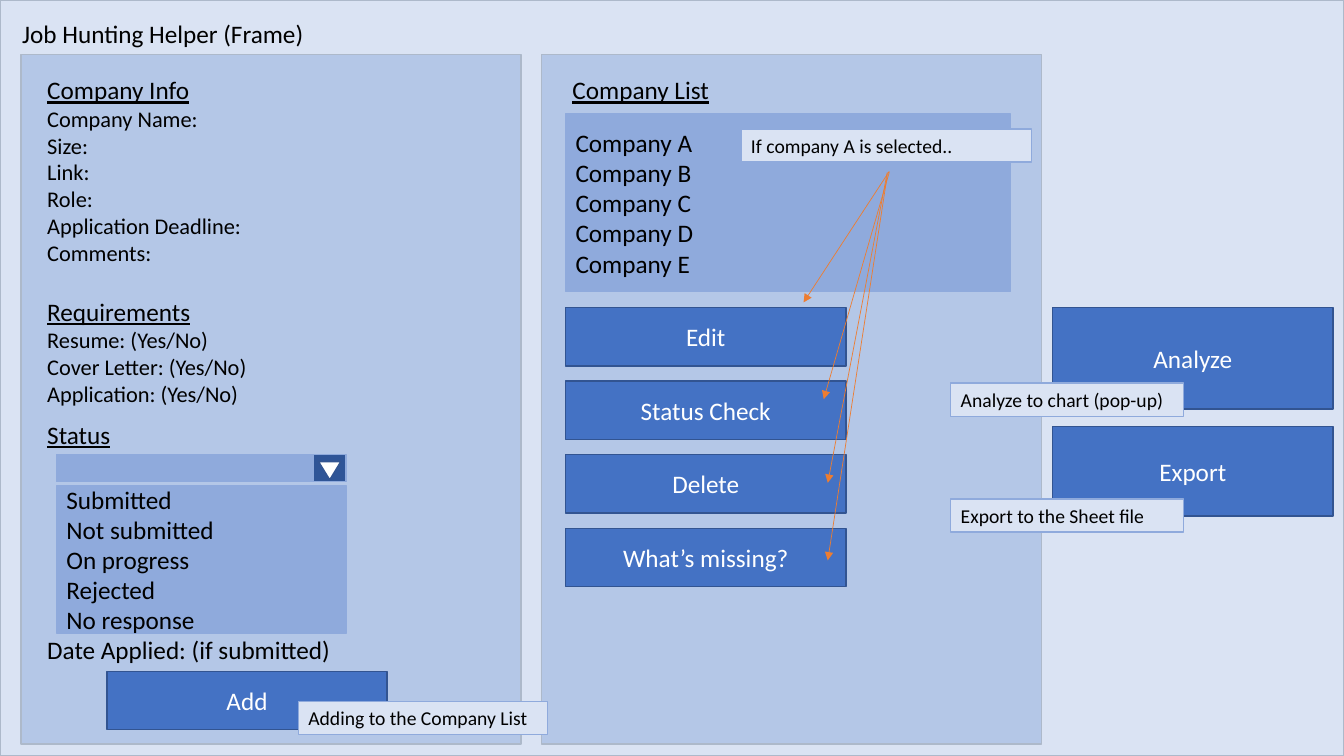
"""Build the Job Hunting Helper wireframe slide."""
from lxml import etree
from pptx import Presentation
from pptx.dml.color import RGBColor
from pptx.enum.shapes import MSO_CONNECTOR as Link, MSO_SHAPE as Shape
from pptx.enum.text import MSO_ANCHOR as Anchor, MSO_AUTO_SIZE as Fit, PP_ALIGN as Align
from pptx.oxml.ns import qn
from pptx.util import Inches, Pt

PALE, PANEL, FIELD, BUTTON, DARK = "DAE3F3", "B4C7E7", "8FAADC", "4472C4", "2F5597"
PANEL_EDGE, BUTTON_EDGE, ARROW = "ADB9CA", "325491", "ED7D31"
BLACK, WHITE = "000000", "FFFFFF"

TITLE = "Job Hunting Helper (Frame)"
INFO = ["Company Name:", "Size:", "Link:", "Role:", "Application Deadline:", "Comments:"]
REQUIREMENTS = ["Resume: (Yes/No)", "Cover Letter: (Yes/No)", "Application: (Yes/No)"]
STATUSES = ["Submitted", "Not submitted", "On progress", "Rejected", "No response"]
COMPANIES = ["Company A", "Company B", "Company C", "Company D", "Company E"]
ACTIONS = ["Edit", "Status Check", "Delete", "What’s missing?"]
SIDE_BUTTONS = [("Analyze", 3.05, 1.01), ("Export", 4.23, 0.89)]
CALLOUTS = [
    ("If company A is selected..", 7.35, 1.28, 2.88),
    ("Adding to the Company List", 2.96, 6.96, 2.47),
    ("Analyze to chart (pop-up)", 9.43, 3.8, 2.31),
    ("Export to the Sheet file", 9.43, 4.95, 2.31),
]
ARROWS = [
    ((8.82, 1.7), (7.97, 3)),
    ((8.82, 1.71), (8.17, 3.96)),
    ((8.8, 1.71), (8.21, 4.79)),
    ((8.8, 1.74), (8.21, 5.56)),
]
BUTTON_WIDTH, BUTTON_HEIGHT, ACTION_STEP = 2.78, 0.58, 0.73
PANEL_LEFTS = (0.21, 5.37)
FORM_LEFT, FORM_WIDTH = 0.37, 4.49
LIST_LEFT = 5.61
MENU_LEFT, MENU_WIDTH, MENU_TOP, BAR_HEIGHT = 0.56, 2.88, 4.51, 0.27
MENU_GAP = 132


def color(value):
    return RGBColor.from_string(value)


def write(box, lines, size=18, ink=BLACK, align=Align.LEFT, anchor=Anchor.MIDDLE,
          heading=False, wrap=True, last_gap=0):
    """Fill a shape with one paragraph per line, the first underlined if a heading."""
    frame = box.text_frame
    frame.word_wrap = wrap
    frame.auto_size = Fit.NONE
    frame.vertical_anchor = anchor
    for index, line in enumerate(lines):
        para = frame.paragraphs[0] if index == 0 else frame.add_paragraph()
        para.alignment = align
        para.line_spacing = 1.0
        is_last = index == len(lines) - 1
        para.space_before = Pt(last_gap if is_last else 0)
        span = para.add_run()
        span.text = line
        is_heading = heading and index == 0
        span.font.size = Pt(18 if is_heading else size)
        span.font.name = "Calibri"
        span.font.color.rgb = color(ink)
        span.font.underline = is_heading


def add_box(page, left, top, width, height, fill, edge, kind=Shape.RECTANGLE):
    box = page.shapes.add_shape(kind, *map(Inches, (left, top, width, height)))
    box.shadow.inherit = False
    box.fill.solid()
    box.fill.fore_color.rgb = color(fill)
    box.line.color.rgb = color(edge)
    box.line.width = Pt(1)
    return box


def add_button(page, label, left, top, height=BUTTON_HEIGHT):
    box = add_box(page, left, top, BUTTON_WIDTH, height, BUTTON, BUTTON_EDGE)
    write(box, [label], ink=WHITE, align=Align.CENTER)


def add_section(page, lines, left, top, width, height, **style):
    box = page.shapes.add_textbox(*map(Inches, (left, top, width, height)))
    write(box, lines, anchor=Anchor.TOP, heading=True, **style)


def add_arrow(page, start, end):
    arrow = page.shapes.add_connector(Link.STRAIGHT, *map(Inches, start + end))
    arrow.line.color.rgb = color(ARROW)
    arrow.line.width = Pt(0.5)
    etree.SubElement(arrow.line._get_or_add_ln(), qn("a:tailEnd"), type="triangle")
    etree.SubElement(arrow.element.spPr, qn("a:effectLst"))


def add_frame(page):
    frame = add_box(page, 0, 0, 13.33, 7.5, PALE, PANEL_EDGE)
    title = page.shapes.title
    title.left, title.top, title.width, title.height = map(Inches, (0.12, 0.13, 3.53, 0.4))
    write(title, [TITLE], anchor=Anchor.TOP)
    frame.element.addnext(title.element)
    for left in PANEL_LEFTS:
        add_box(page, left, 0.54, 4.96, 6.84, PANEL, PANEL_EDGE)


def add_form(page):
    add_section(page, ["Company Info"] + INFO, FORM_LEFT, 0.69, FORM_WIDTH, 2.02, size=16)
    add_section(page, ["Requirements"] + REQUIREMENTS, FORM_LEFT, 2.89, FORM_WIDTH, 1.21, size=16)
    add_section(page, ["Status", "Date Applied: (if submitted)"],
                FORM_LEFT, 4.11, FORM_WIDTH, 2.79, last_gap=MENU_GAP)
    add_button(page, "Add", 1.06, 6.66)
    add_box(page, MENU_LEFT, MENU_TOP, MENU_WIDTH, BAR_HEIGHT, FIELD, FIELD)
    add_box(page, 3.11, MENU_TOP, 0.32, BAR_HEIGHT, DARK, FIELD)
    marker = add_box(page, 3.16, 4.58, 0.22, 0.18, WHITE, BUTTON_EDGE, Shape.ISOSCELES_TRIANGLE)
    marker.rotation = 180
    menu = add_box(page, MENU_LEFT, 4.82, MENU_WIDTH, 1.46, FIELD, FIELD)
    write(menu, STATUSES)


def add_company_list(page):
    companies = add_box(page, LIST_LEFT, 1.13, 4.41, 1.76, FIELD, FIELD)
    write(companies, COMPANIES)
    add_section(page, ["Company List"], 5.58, 0.69, 1.57, 0.4, wrap=False)
    for row, label in enumerate(ACTIONS):
        add_button(page, label, LIST_LEFT, 3.05 + row * ACTION_STEP)


def main():
    deck = Presentation()
    deck.slide_width, deck.slide_height = Inches(13.33), Inches(7.5)
    page = deck.slides.add_slide(deck.slide_layouts[5])
    add_frame(page)
    add_form(page)
    add_company_list(page)
    for label, top, height in SIDE_BUTTONS:
        add_button(page, label, 10.44, top, height)
    for label, left, top, width in CALLOUTS:
        write(add_box(page, left, top, width, 0.33, PALE, FIELD), [label], size=14)
    for start, end in ARROWS:
        add_arrow(page, start, end)
    deck.save("out.pptx")


if __name__ == "__main__":
    main()
